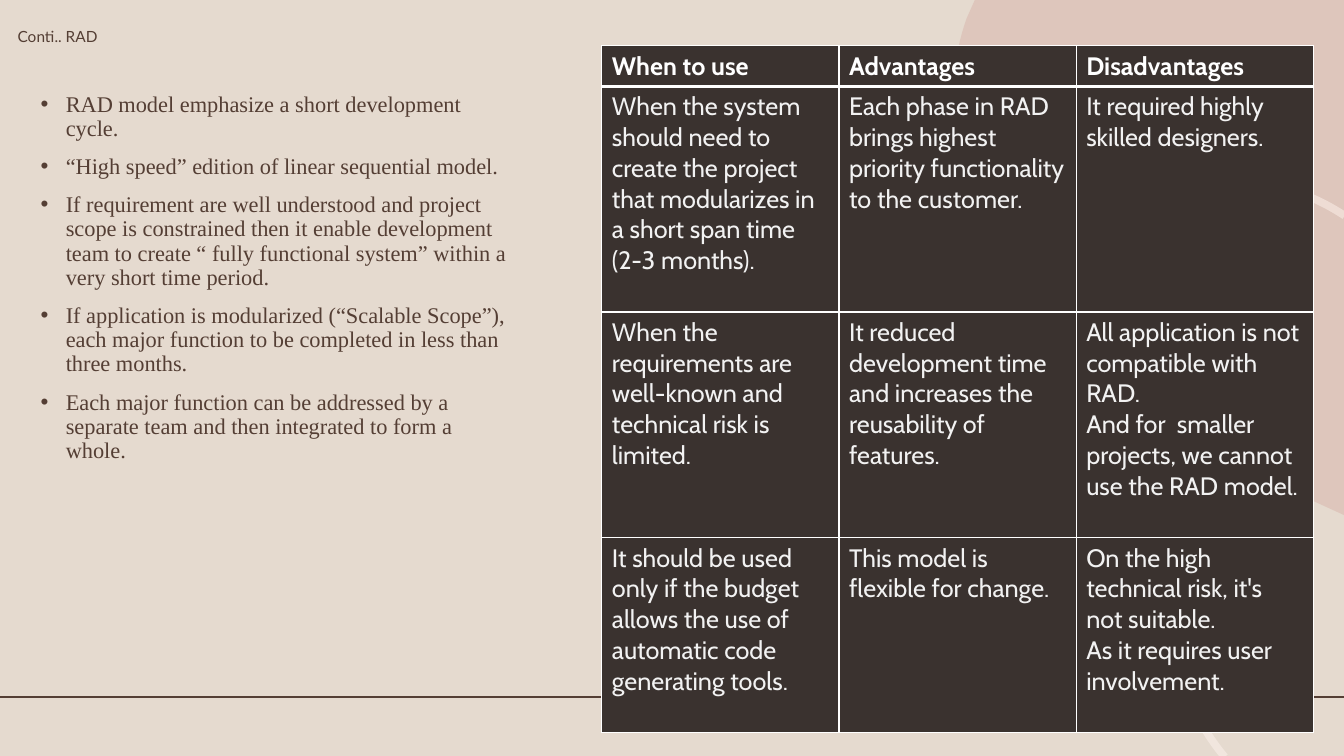
import pptx
import pptx.dml.color
import pptx.enum.shapes
import pptx.enum.text
import pptx.oxml.ns
import pptx.util
from lxml import etree

COLORS = {"paper": "E5DACF", "brown": "543E34", "rose": "CF9B92", "cream": "FEF3ED",
          "cell": "3A322F", "white": "FFFFFF", "soft": "F2F2F2"}

# Cubic segments (control, control, end), in grid units.
BLOB_START = (98.03, 66.53)
BLOB_CURVES = [
    ((85.2, 56.13), (77.4, 49.2), (73.35, 34)),
    ((71.1, 25.73), (70.88, 18), (70.95, 13.47)),
    ((70.88, 10.53), (71.1, 6.53), (71.93, 2.4)),
]
BLOB_CORNERS = [(72.53, 0), (100, 0), (100, 68.13)]
ARC_START = (91.13, 100.13)
ARC_CURVES = [
    ((89.85, 97.47), (88.43, 93.2), (86.7, 86)),
    ((82.05, 67.6), (79.35, 56.53), (81.45, 44.27)),
    ((82.58, 38), (84.53, 33.73), (85.8, 31.33)),
    ((87.08, 28.93), (89.4, 25.2), (92.7, 24.67)),
    ((93.08, 24.53), (93.53, 24.53), (93.9, 24.53)),
    ((95.93, 24.67), (98.1, 26.27), (100.05, 28.53)),
]

POINTS = [
    "RAD model emphasize a short development cycle.",
    "“High speed” edition of linear sequential model.",
    "If requirement are well understood and project scope is constrained then it enable "
    "development team to create “ fully functional system” within a very short time period.",
    "If application is modularized (“Scalable Scope”), each major function to be completed "
    "in less than three months.",
    "Each major function can be addressed by a separate team and then integrated to form a whole.",
]
TABLE = [
    ["When to use", "Advantages", "Disadvantages"],
    ["When the system should need to create the project that modularizes in a short span time "
     "(2-3 months).",
     "Each phase in RAD brings highest priority functionality to the customer.",
     "It required highly skilled designers."],
    ["When the requirements are well-known and technical risk is limited.",
     "It reduced development time  and increases the reusability of features.",
     "All application is not compatible with RAD.\n"
     "And for  smaller projects, we cannot use the RAD model."],
    ["It should be used only if the budget allows the use of automatic code generating tools.",
     "This model is flexible for change.",
     "On the high technical risk, it's not suitable.\nAs it requires user involvement."],
]
ROW_HEIGHTS = [5.4, 29.85, 29.85, 25.75]


def rgb(name):
    return pptx.dml.color.RGBColor.from_string(COLORS[name])


def add_xml(parent, tag, **attrs):
    return etree.SubElement(parent, pptx.oxml.ns.qn(tag), attrs)


class Deck:
    """One slide laid out on a grid of 100 columns by 100 rows."""

    def __init__(self):
        self.prs = pptx.Presentation()
        self.prs.slide_width = pptx.util.Inches(13.33)
        self.prs.slide_height = pptx.util.Inches(7.5)
        self.s = self.prs.slides.add_slide(self.prs.slide_layouts[6])
        self.s.background.fill.solid()
        self.s.background.fill.fore_color.rgb = rgb("paper")

    def x(self, cols):
        return round(self.prs.slide_width * cols / 100)

    def y(self, rows):
        return round(self.prs.slide_height * rows / 100)

    def line(self, x1, y1, x2, y2, color, width):
        ln = self.s.shapes.add_connector(pptx.enum.shapes.MSO_CONNECTOR.STRAIGHT,
                                         self.x(x1), self.y(y1), self.x(x2), self.y(y2))
        ln.line.color.rgb = rgb(color)
        ln.line.width = pptx.util.Pt(width)
        add_xml(ln._element.spPr, "a:effectLst")

    def outline(self, corners, start, curves, color, opacity, width=None):
        """Draw corners then curves: filled, or an open stroke when a width is given."""
        points = [*corners, start, *(pt for curve in curves for pt in curve)]
        pts = [(self.x(px), self.y(py)) for px, py in points]
        fb = self.s.shapes.build_freeform(*pts[0])
        fb.add_line_segments(pts[1:], close=width is None)
        sp = fb.convert_to_shape()
        sp.shadow.inherit = False
        self.bend(sp, len(corners), len(curves))
        if width is None:
            sp.line.fill.background()
            paint = sp.fill
        else:
            sp.fill.background()
            sp.line.width = pptx.util.Pt(width)
            paint = sp.line.fill
        paint.solid()
        paint.fore_color.rgb = rgb(color)
        clr = next(sp._element.spPr.iter(pptx.oxml.ns.qn("a:srgbClr")))
        add_xml(clr, "a:alpha", val=str(opacity * 1000))

    def bend(self, sp, first, count):
        """Merge each three line segments after the first ones into one cubic."""
        segments = list(sp._element.spPr.iter(pptx.oxml.ns.qn("a:lnTo")))[first:]
        for i in range(count):
            trio = segments[3 * i:3 * i + 3]
            cubic = etree.Element(pptx.oxml.ns.qn("a:cubicBezTo"))
            trio[0].addprevious(cubic)
            for seg in trio:
                cubic.append(seg[0])
                seg.getparent().remove(seg)

    def style(self, p, font, size, color, bold=False):
        for r in p.runs:
            r.font.name = font
            r.font.size = pptx.util.Pt(size)
            r.font.color.rgb = rgb(color)
            r.font.bold = bold

    def text(self, x, y, w, h, lines, font, size, anchor, bullets=False):
        tf = self.s.shapes.add_textbox(self.x(x), self.y(y), self.x(w), self.y(h)).text_frame
        tf.word_wrap = True
        tf.vertical_anchor = anchor
        tf.text = "\n".join(lines)
        for p in tf.paragraphs:
            p.line_spacing = 0.9
            self.style(p, font, size, "brown")
            if bullets:
                p.space_before = pptx.util.Pt(10)
                pPr = p._p.get_or_add_pPr()
                indent = pptx.util.Inches(0.25)
                pPr.set("marL", str(indent))
                pPr.set("indent", str(-indent))
                add_xml(pPr, "a:buFont", typeface="Arial")
                add_xml(pPr, "a:buChar", char="•")

    def border(self, cell, side, width):
        ln = add_xml(cell._tc.get_or_add_tcPr(), "a:ln" + side, w=str(pptx.util.Pt(width)))
        add_xml(add_xml(ln, "a:solidFill"), "a:srgbClr", val=COLORS["white"])

    def table(self, x, y, w, rows, heights):
        tbl = self.s.shapes.add_table(len(rows), len(rows[0]), self.x(x), self.y(y),
                                      self.x(w), self.y(sum(heights))).table
        for i, (row, height) in enumerate(zip(rows, heights)):
            tbl.rows[i].height = self.y(height)
            for j, words in enumerate(row):
                cell = tbl.cell(i, j)
                cell.text_frame.text = words
                for p in cell.text_frame.paragraphs:
                    self.style(p, "Cabin", 18, "soft" if i else "white", bold=i == 0)
                for side in "LRTB":
                    self.border(cell, side, 3 if (i, side) == (0, "B") else 1)
                cell.fill.solid()
                cell.fill.fore_color.rgb = rgb("cell")


def main():
    deck = Deck()
    anchors = pptx.enum.text.MSO_ANCHOR
    deck.line(0, 92.2, 100, 92.2, "brown", 1.25)
    deck.outline(BLOB_CORNERS, BLOB_START, BLOB_CURVES, "rose", 30)
    deck.outline([], ARC_START, ARC_CURVES, "cream", 50, width=5.5)
    deck.text(0.57, 0, 86.27, 9.87, ["Conti.. RAD"], "Lato", 11, anchors.MIDDLE)
    deck.text(2.28, 11.65, 36.3, 70.27, POINTS, "Times New Roman", 16, anchors.TOP, bullets=True)
    deck.table(44.78, 6.03, 52.95, TABLE, ROW_HEIGHTS)
    deck.prs.save("out.pptx")


if __name__ == "__main__":
    main()
